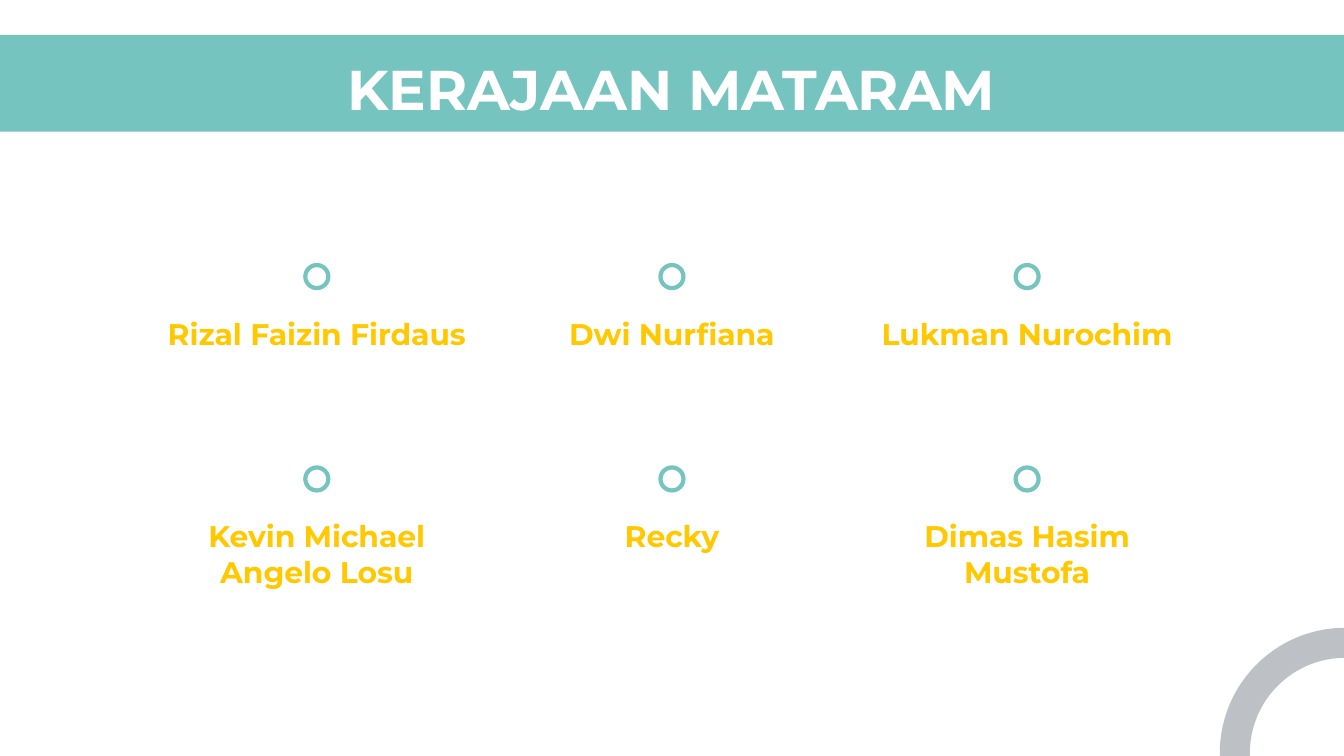
from pptx import Presentation
from pptx.dml.color import RGBColor
from pptx.enum.shapes import MSO_SHAPE as Shape
from pptx.enum.text import MSO_ANCHOR as Anchor, PP_ALIGN as Align
from pptx.util import Cm, Pt

COLORS = {"teal": "75C4C0", "gray": "BDC1C6", "white": "FFFFFF", "yellow": "FFC800"}
FONT = "Montserrat"
PAGE_WIDTH, PAGE_HEIGHT = 33.87, 19.05
MEMBERS = [
    ["Rizal Faizin Firdaus", "Dwi Nurfiana", "Lukman Nurochim"],
    ["Kevin Michael Angelo Losu", "Recky", "Dimas Hasim Mustofa"],
]


def color(name):
    return RGBColor.from_string(COLORS[name])


def add_filled(page, kind, box, fill, line=None):
    shape = page.shapes.add_shape(kind, *map(Cm, box))
    shape.shadow.inherit = False
    shape.fill.solid()
    shape.fill.fore_color.rgb = color(fill)
    if line:
        shape.line.color.rgb = color(line)
        shape.line.width = Pt(3)
    else:
        shape.line.fill.background()
    return shape


def add_label(page, box, text, size, ink):
    frame = page.shapes.add_textbox(*map(Cm, box)).text_frame
    frame.word_wrap = True
    frame.vertical_anchor = Anchor.TOP
    frame.margin_left = frame.margin_right = Cm(0.33)
    frame.margin_top = frame.margin_bottom = Cm(0.33)
    para = frame.paragraphs[0]
    para.text = text
    para.alignment = Align.CENTER
    para.font.name = FONT
    para.font.size = Pt(size)
    para.font.bold = True
    para.font.color.rgb = color(ink)


def add_title_band(page, box, title):
    left, top, width, height = box
    add_filled(page, Shape.RECTANGLE, box, "teal")
    add_label(page, (left + 3.18, top + 0.17, width - 6.36, height - 0.3),
              title, 40, "white")


def add_corner_arc(page, box):
    arc = add_filled(page, Shape.BLOCK_ARC, box, "gray")
    # Start angle, end angle and thickness
    for index, value in enumerate((106.77, 163.22, 0.12)):
        arc.adjustments[index] = value


def add_member(page, box, name):
    left, top, width, height = box
    ring, label_width = 0.58, 8.36
    center = left + width / 2
    add_filled(page, Shape.OVAL, (center - ring / 2, top, ring, ring), "white", "teal")
    add_label(page, (center - label_width / 2, top + 0.94, label_width, 1.45),
              name, 21.3, "yellow")


def add_member_grid(page, box, rows):
    left, top, width, height = box
    row_height = height / len(rows)
    for row, names in enumerate(rows):
        column_width = width / len(names)
        for column, name in enumerate(names):
            cell = (left + column * column_width, top + row * row_height,
                    column_width, row_height)
            add_member(page, cell, name)


def main():
    deck = Presentation()
    deck.slide_width, deck.slide_height = Cm(PAGE_WIDTH), Cm(PAGE_HEIGHT)
    page = deck.slides.add_slide(deck.slide_layouts[6])
    page.background.fill.solid()
    page.background.fill.fore_color.rgb = color("white")

    # Header and corner decoration
    add_title_band(page, (-0.58, 0.88, 35, 2.44), "KERAJAAN MATARAM")
    add_corner_arc(page, (30.74, 15.82, 6.32, 6.32))

    # Group members, centred across the page
    grid_width = 26.85
    add_member_grid(page, ((PAGE_WIDTH - grid_width) / 2, 6.68, grid_width, 10.2), MEMBERS)

    deck.save("out.pptx")


if __name__ == "__main__":
    main()
